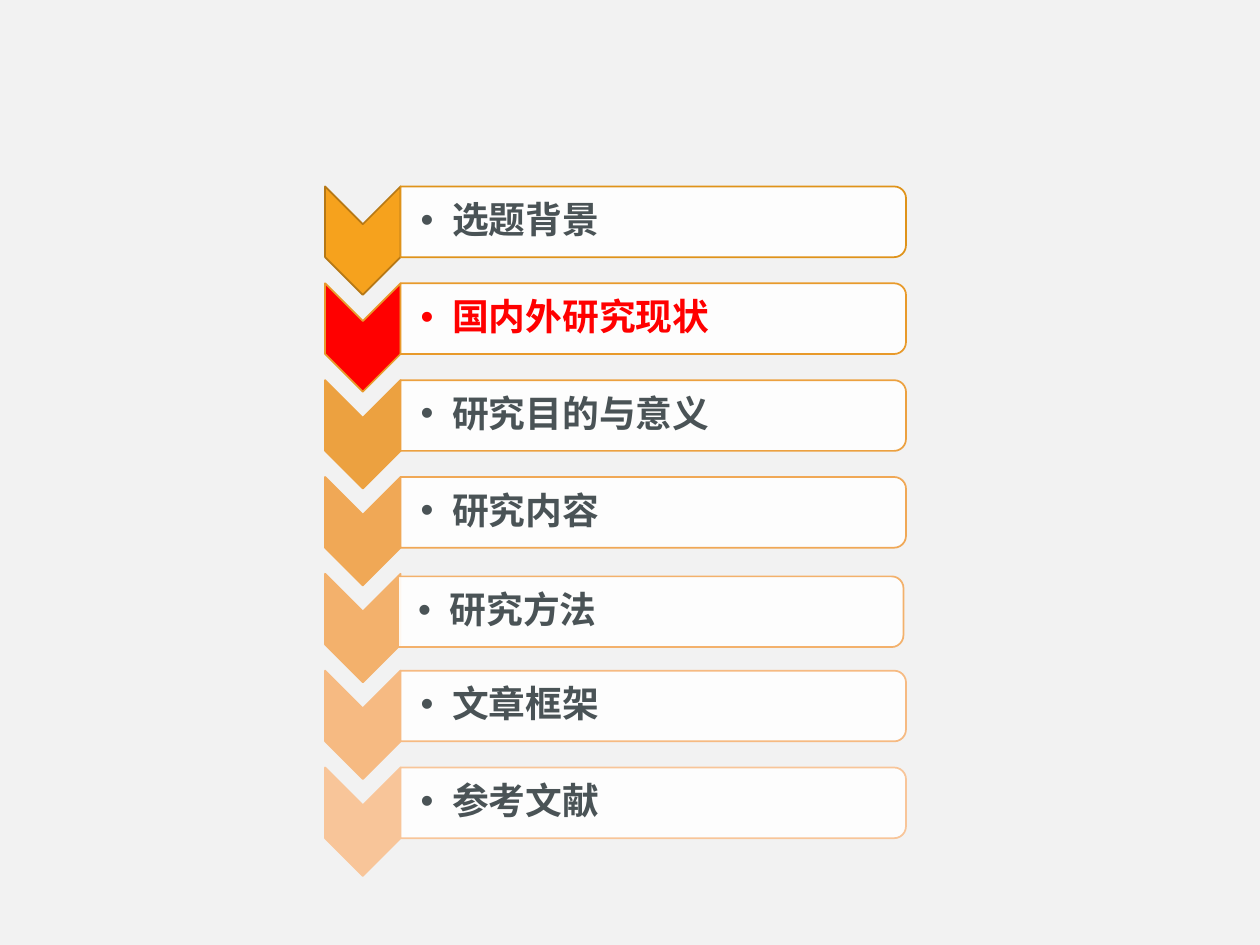
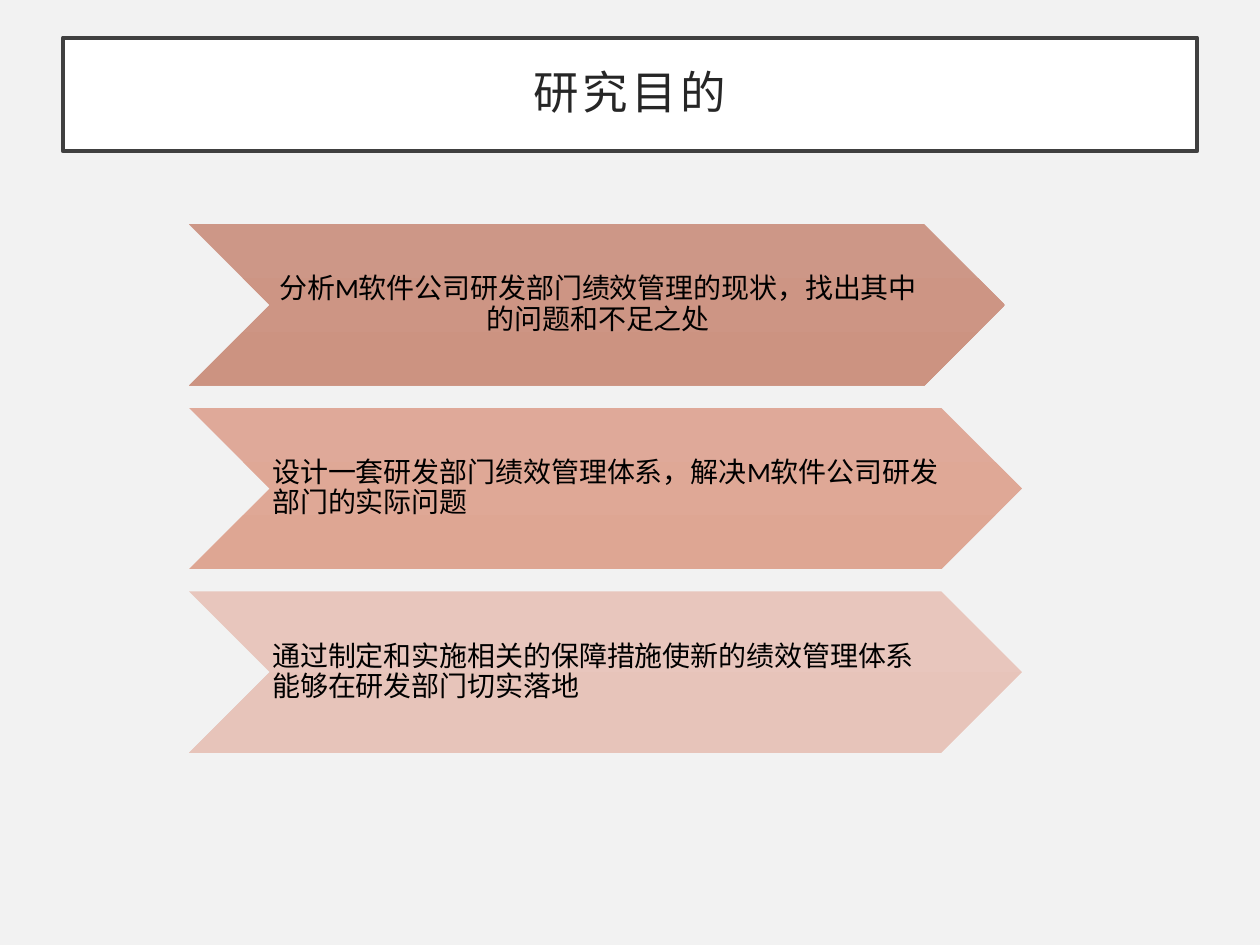
from dataclasses import dataclass

from lxml import etree
from pptx import Presentation
from pptx.dml.color import RGBColor
from pptx.enum.shapes import MSO_SHAPE
from pptx.enum.text import MSO_ANCHOR, PP_ALIGN
from pptx.oxml.ns import qn
from pptx.util import Inches, Pt

CHEVRON = MSO_SHAPE.CHEVRON
PANEL = MSO_SHAPE.ROUND_2_SAME_RECTANGLE
RECTANGLE = MSO_SHAPE.RECTANGLE
MIDDLE = MSO_ANCHOR.MIDDLE
LEFT, CENTER = PP_ALIGN.LEFT, PP_ALIGN.CENTER


@dataclass(frozen=True)
class Theme:
    latin: str = "Calibri"
    chinese: str = "Noto Sans CJK SC"
    background: str = "F2F2F2"
    white: str = "FFFFFF"
    title_line: str = "404040"
    title_text: str = "262626"
    agenda_text: str = "4A5356"
    current: str = "FF0000"
    body_text: str = "000000"
    title_size: int = 26
    agenda_size: int = 21
    body_size: int = 16
    line_spacing: float = 0.9


THEME = Theme()


@dataclass(frozen=True)
class Box:
    left: float
    top: float
    width: float
    height: float

    def area(self, x, y, w, h):
        return Box(self.left + x * self.width, self.top + y * self.height,
                   w * self.width, h * self.height)

    def rows(self, count):
        return [self.area(0, i / count, 1, 1 / count) for i in range(count)]

    def shifted(self, dx, dy):
        return Box(self.left + dx, self.top + dy, self.width, self.height)

    def turned(self):
        shift = (self.width - self.height) / 2
        return Box(self.left + shift, self.top - shift, self.height, self.width)

    def lengths(self):
        return [Inches(v) for v in (self.left, self.top, self.width, self.height)]


SLIDE = Box(0, 0, 10, 7.5)
TITLE = SLIDE.area(0.05, 0.04, 0.9, 0.12)
AGENDA = Box(2.58, 1.48, 4.61, 5.38)
PURPOSES = Box(1.5, 1.78, 6.61, 4.37)

TOPICS = [
    ("选题背景", "F6A21D", "B67815", "DF931A"),
    ("国内外研究现状", THEME.current, "E89A2B", "E89A2B"),
    ("研究目的与意义", "ECA140", "ECA140", "ECA140"),
    ("研究内容", "F0A856", "F0A856", "F0A856"),
    ("研究方法", "F3B16C", "F3B16C", "F3B16C"),
    ("文章框架", "F6BA82", "F6BA82", "F6BA82"),
    ("参考文献", "F8C599", "F8C599", "F8C599"),
]
CURRENT_TOPIC = "国内外研究现状"
TOPIC_SHIFTS = {"研究方法": (-0.02, 0.02)}

AIMS = [
    ("分析M软件公司研发部门绩效管理的现状，找出其中的问题和不足之处",
     "CD9787", "CC9381", 0.98, CENTER),
    ("设计一套研发部门绩效管理体系，解决M软件公司研发部门的实际问题",
     "DFA999", "DEA693", 1, LEFT),
    ("通过制定和实施相关的保障措施使新的绩效管理体系能够在研发部门切实落地",
     "E8C6BD", "E7C4BA", 1, LEFT),
]


def rgb(value):
    return RGBColor.from_string(value)


def add_slide(deck):
    slide = deck.slides.add_slide(deck.slide_layouts[6])
    slide.background.fill.solid()
    slide.background.fill.fore_color.rgb = rgb(THEME.background)
    return slide


def add_figure(shapes, kind, box, fill=None, line=None, weight=1, turned=False):
    frame = box.turned() if turned else box
    figure = shapes.add_shape(kind, *frame.lengths())
    figure.shadow.inherit = False
    figure.rotation = 90 if turned else 0
    if fill:
        figure.fill.solid()
        figure.fill.fore_color.rgb = rgb(fill)
    if line:
        figure.line.color.rgb = rgb(line)
        figure.line.width = Pt(weight)
    else:
        figure.line.fill.background()
    return figure


def set_bullet(paragraph):
    props = paragraph._p.get_or_add_pPr()
    props.set("marL", str(Inches(0.25)))
    props.set("indent", str(Inches(-0.25)))
    etree.SubElement(props, qn("a:buFont"), typeface="Arial")
    etree.SubElement(props, qn("a:buChar"), char="•")


def write(holder, words, size, color, insets, align=LEFT, bold=False,
          bullet=False, latin=THEME.latin, spacing=0):
    frame = holder.text_frame
    frame.word_wrap = True
    frame.vertical_anchor = MIDDLE
    (frame.margin_left, frame.margin_top,
     frame.margin_right, frame.margin_bottom) = [Inches(v) for v in insets]
    paragraph = frame.paragraphs[0]
    if bullet:
        set_bullet(paragraph)
    paragraph.alignment = align
    paragraph.line_spacing = THEME.line_spacing
    run = paragraph.add_run()
    run.text = words
    run.font.size = Pt(size)
    run.font.bold = bold
    run.font.color.rgb = rgb(color)
    run.font.name = latin
    props = run._r.get_or_add_rPr()
    etree.SubElement(props, qn("a:ea"), typeface=THEME.chinese)
    if spacing:
        props.set("spc", str(spacing * 100))


def add_title(slide, box, words):
    banner = add_figure(slide.shapes, RECTANGLE, box, THEME.white, THEME.title_line, 2.5)
    write(banner, words, THEME.title_size, THEME.title_text, [0.2] * 4, CENTER,
          latin=THEME.chinese, spacing=2)


def add_topic(shapes, row, topic):
    words, fill, marker_line, panel_line = topic
    add_figure(shapes, CHEVRON, row.area(0, 0, 0.13, 1.12), fill, marker_line, turned=True)
    label_row = row.shifted(*TOPIC_SHIFTS.get(words, (0, 0)))
    panel = add_figure(shapes, PANEL, label_row.area(0.13, 0, 0.87, 0.73),
                       THEME.white, panel_line, turned=True)
    white = panel._element.spPr.find(qn("a:solidFill"))[0]
    etree.SubElement(white, qn("a:alpha"), val="90000")
    label = shapes.add_textbox(*label_row.area(0.13, 0.04, 0.86, 0.65).lengths())
    color = THEME.current if words == CURRENT_TOPIC else THEME.agenda_text
    write(label, words, THEME.agenda_size, color, (0.16, 0.01, 0.01, 0.01),
          bold=True, bullet=True)


def add_agenda(slide, box):
    shapes = slide.shapes.add_group_shape().shapes
    for row, topic in zip(box.rows(len(TOPICS)), TOPICS):
        add_topic(shapes, row, topic)


def add_aim(shapes, row, aim):
    words, upper, lower, share, align = aim
    band = row.area(0, 0, share, 0.88)
    arrow = add_figure(shapes, CHEVRON, band)
    arrow.fill.gradient()
    arrow.fill.gradient_angle = 270
    for stop, color, position in zip(arrow.fill.gradient_stops, (upper, lower), (0, 1)):
        stop.color.rgb = rgb(color)
        stop.position = position
    inner = Box(band.left + band.height / 2, band.top,
                band.width - band.height, band.height)
    label = shapes.add_textbox(*inner.lengths())
    write(label, words, THEME.body_size, THEME.body_text, (0.02, 0.01, 0, 0.01), align)


def add_purposes(slide, box):
    shapes = slide.shapes.add_group_shape().shapes
    for row, aim in zip(box.rows(len(AIMS)), AIMS):
        add_aim(shapes, row, aim)


def main():
    deck = Presentation()
    deck.slide_width = Inches(SLIDE.width)
    deck.slide_height = Inches(SLIDE.height)
    add_agenda(add_slide(deck), AGENDA)
    purpose = add_slide(deck)
    add_title(purpose, TITLE, "研究目的")
    add_purposes(purpose, PURPOSES)
    deck.save("out.pptx")


if __name__ == "__main__":
    main()
